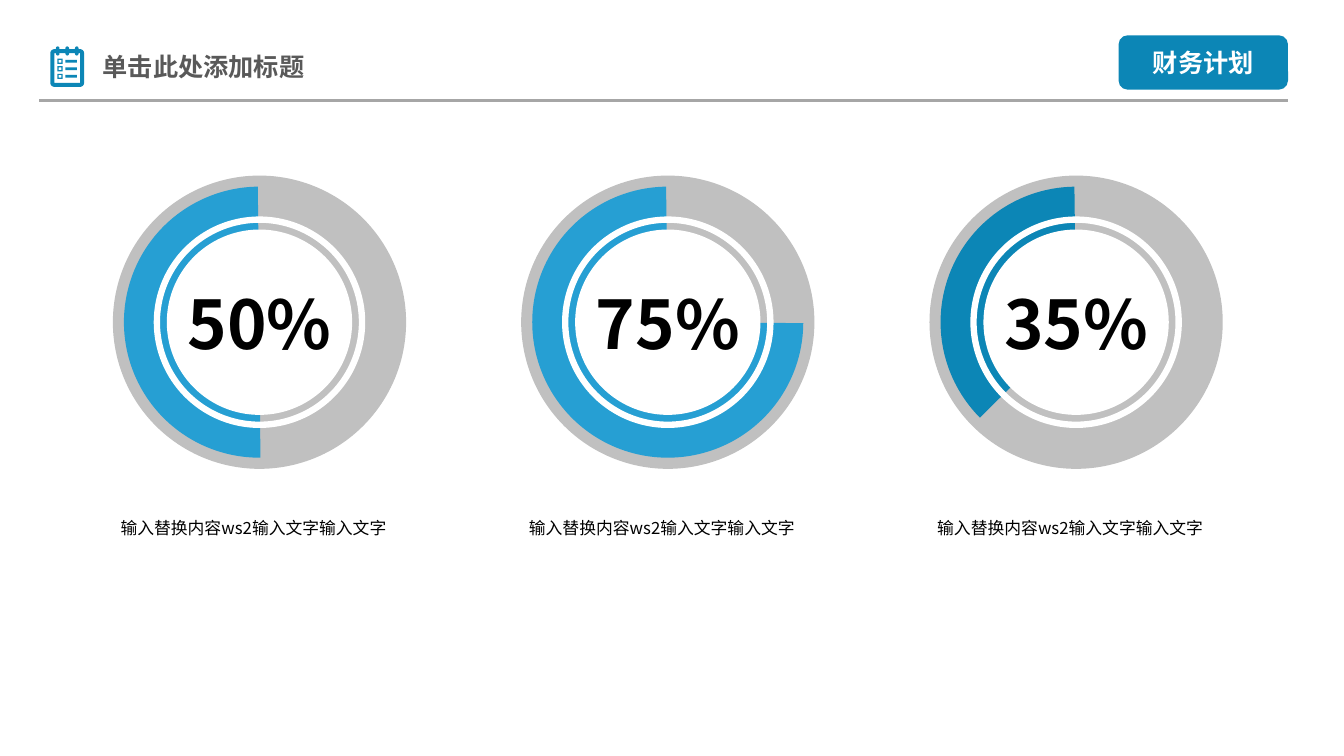
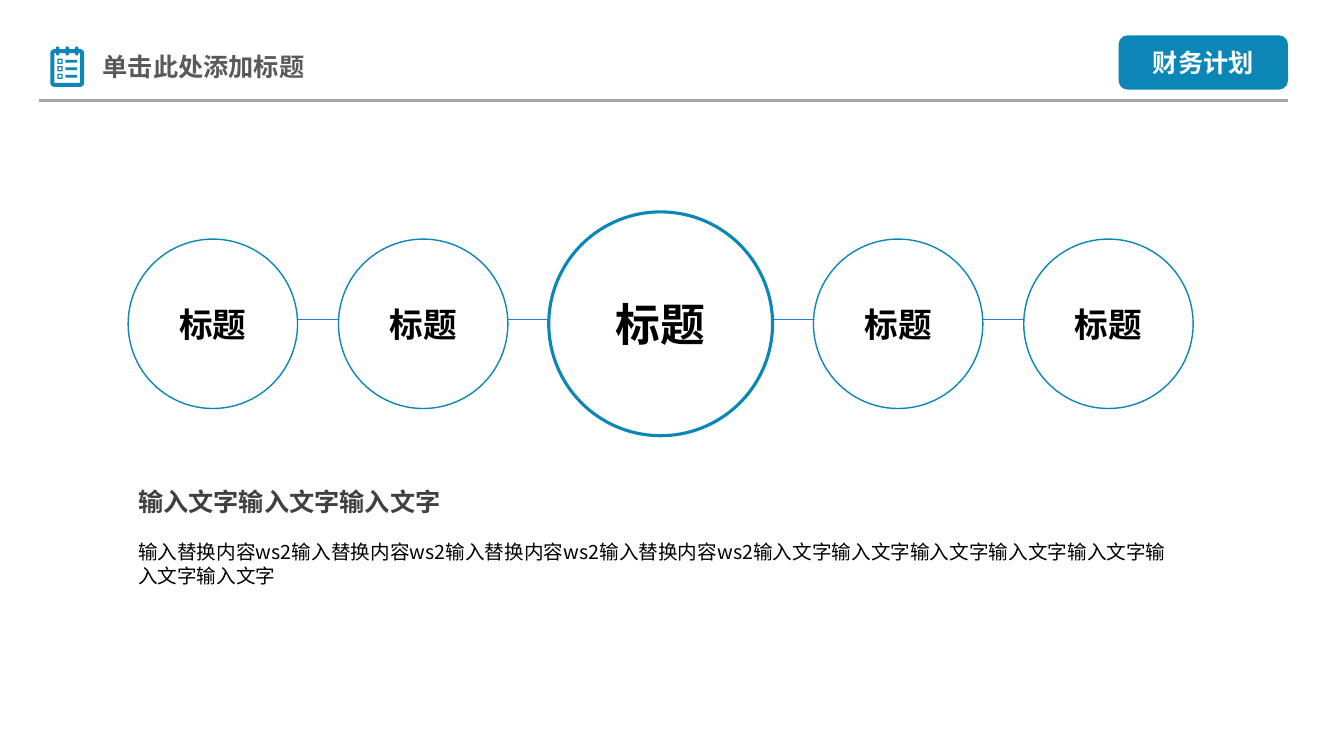
"""Build two finance plan slides: percentage gauges and a chain of titled circles."""
from dataclasses import dataclass
from math import cos, pi, sin

from lxml import etree
from pptx import Presentation
from pptx.dml.color import RGBColor
from pptx.enum.shapes import MSO_CONNECTOR, MSO_SHAPE as SHAPE
from pptx.enum.text import MSO_ANCHOR, MSO_AUTO_SIZE, PP_ALIGN as ALIGN
from pptx.oxml.ns import qn
from pptx.shapes.autoshape import Shape
from pptx.slide import Slide
from pptx.util import Cm, Pt

FONT = "Noto Sans CJK SC"
BLUE, SKY, GREY, WHITE, BLACK = "0C86B6", "269FD3", "C0C0C0", "FFFFFF", "000000"
RULE, TITLE, HEADING, CHAIN_LINE, OUTLINE = "A6A6A6", "595959", "404040", "2B7BDA", "DDDDDD"
LEFT, RIGHT = 0.99, 32.46


@dataclass(frozen=True)
class Style:
    size: float
    color: str = BLACK
    bold: bool = True
    align: ALIGN = ALIGN.LEFT
    spacing: float = 1.0
    outline: str = ""


@dataclass(frozen=True)
class Gauge:
    label: str
    start: float
    color: str


@dataclass(frozen=True)
class Node:
    diameter: float
    size: float
    border: float


GAUGES = [Gauge("50%", 89.6, SKY), Gauge("75%", 0.4, SKY), Gauge("35%", 135.2, BLUE)]
SMALL, LARGE = Node(4.27, 24, 1), Node(5.64, 32, 2.25)
NODES = [SMALL, SMALL, LARGE, SMALL, SMALL]


def rgb(color: str) -> RGBColor:
    return RGBColor.from_string(color)


def paint(sp: Shape, fill: str, line: str = "", width: float = 1) -> Shape:
    sp.shadow.inherit = False
    sp.fill.solid()
    sp.fill.fore_color.rgb = rgb(fill)
    if line:
        sp.line.color.rgb = rgb(line)
        sp.line.width = Pt(width)
    else:
        sp.line.fill.background()
    return sp


def add_shape(s: Slide, kind: SHAPE, x: float, y: float, w: float, h: float,
              fill: str, line: str = "", width: float = 1) -> Shape:
    return paint(s.shapes.add_shape(kind, Cm(x), Cm(y), Cm(w), Cm(h)), fill, line, width)


def add_round(s: Slide, kind: SHAPE, cx: float, cy: float, d: float,
              fill: str, line: str = "", width: float = 1) -> Shape:
    return add_shape(s, kind, cx - d / 2, cy - d / 2, d, d, fill, line, width)


def add_line(s: Slide, x1: float, x2: float, y: float, color: str, width: float) -> None:
    line = s.shapes.add_connector(MSO_CONNECTOR.STRAIGHT, Cm(x1), Cm(y), Cm(x2), Cm(y))
    line.line.color.rgb = rgb(color)
    line.line.width = Pt(width)
    etree.SubElement(line._element.spPr, qn("a:effectLst"))


def write(sp: Shape, text: str, style: Style) -> None:
    tf = sp.text_frame
    tf.text = text
    p = tf.paragraphs[0]
    p.alignment = style.align
    p.line_spacing = style.spacing
    r = p.runs[0]
    r.font.size = Pt(style.size)
    r.font.bold = style.bold
    r.font.color.rgb = rgb(style.color)
    r.font.name = FONT
    props = r._r.get_or_add_rPr()
    etree.SubElement(props, qn("a:ea"), typeface=FONT)
    if style.outline:
        ln = etree.Element(qn("a:ln"), w=str(Pt(1)))
        fill = etree.SubElement(ln, qn("a:solidFill"))
        etree.SubElement(fill, qn("a:srgbClr"), val=style.outline)
        props.insert(0, ln)


def label(sp: Shape, text: str, style: Style) -> None:
    tf = sp.text_frame
    tf.word_wrap = False
    tf.vertical_anchor = MSO_ANCHOR.MIDDLE
    tf.margin_left = tf.margin_right = tf.margin_top = tf.margin_bottom = 0
    write(sp, text, style)


def add_text(s: Slide, x: float, y: float, w: float, h: float, text: str,
             style: Style, side_margin: float = 0.25) -> None:
    sp = s.shapes.add_textbox(Cm(x), Cm(y), Cm(w), Cm(h))
    tf = sp.text_frame
    tf.word_wrap = True
    tf.auto_size = MSO_AUTO_SIZE.SHAPE_TO_FIT_TEXT
    tf.margin_left = tf.margin_right = Cm(side_margin)
    write(sp, text, style)


def rounded(x: float, y: float, w: float, h: float, r: float) -> list[tuple[int, int]]:
    corners = [(x + w - r, y + h - r), (x + r, y + h - r), (x + r, y + r), (x + w - r, y + r)]
    steps = range(7) if r else range(1)
    return [(Cm(cx + r * cos(a)), Cm(cy + r * sin(a)))
            for i, (cx, cy) in enumerate(corners)
            for a in [(i + k / 6) * pi / 2 for k in steps]]


def add_frame(s: Slide, x: float, y: float, w: float, h: float, edge: float, r: float = 0) -> None:
    outer = rounded(x, y, w, h, r)
    inner = rounded(x + edge, y + edge, w - 2 * edge, h - 2 * edge, 0)[::-1]
    builder = s.shapes.build_freeform(*outer[0], scale=1.0)
    builder.add_line_segments(outer[1:], close=True)
    builder.move_to(*inner[0])
    builder.add_line_segments(inner[1:], close=True)
    paint(builder.convert_to_shape(), BLUE)


def add_checklist_icon(s: Slide) -> None:
    add_frame(s, 1.27, 1.24, 0.85, 0.95, 0.1, 0.1)
    for i in range(3):
        clip = add_shape(s, SHAPE.ROUNDED_RECTANGLE, 1.41 + 0.24 * i, 1.17, 0.09, 0.23, BLUE)
        clip.adjustments[0] = 0.5
        y = 1.48 + 0.19 * i
        add_frame(s, 1.45, y, 0.13, 0.13, 0.03)
        add_shape(s, SHAPE.RECTANGLE, 1.65, y + 0.03, 0.29, 0.07, BLUE)


def add_header(s: Slide) -> None:
    add_line(s, LEFT, RIGHT, 2.54, RULE, 2.25)
    badge = add_shape(s, SHAPE.ROUNDED_RECTANGLE, RIGHT - 4.27, 0.89, 4.27, 1.37, BLUE)
    label(badge, "财务计划", Style(18, WHITE, align=ALIGN.CENTER))
    add_text(s, 2.34, 1.17, 6, 1.02, "单击此处添加标题", Style(18, TITLE))
    add_checklist_icon(s)


def add_gauge(s: Slide, gauge: Gauge, cx: float, cy: float) -> None:
    add_round(s, SHAPE.OVAL, cx, cy, 7.39, GREY)
    arc = add_round(s, SHAPE.BLOCK_ARC, cx, cy, 6.83, gauge.color)
    for i, value in enumerate((gauge.start * 0.6, 269.3 * 0.6, 0.2)):
        arc.adjustments[i] = value
    ring = add_round(s, SHAPE.DONUT, cx, cy, 5.33, WHITE)
    ring.adjustments[0] = 0.03
    disc = add_round(s, SHAPE.OVAL, cx, cy, 4.67, WHITE)
    label(disc, gauge.label, Style(48, align=ALIGN.CENTER, outline=OUTLINE))
    add_text(s, cx - 3.5, 12.67, 7, 1.02, "输入替换内容ws2输入文字输入文字",
             Style(12, bold=False, align=ALIGN.JUSTIFY, spacing=1.5), 0)


def build_gauges(s: Slide) -> None:
    add_header(s)
    for i, gauge in enumerate(GAUGES):
        add_gauge(s, gauge, 6.54 + 10.29 * i, 8.12)


def build_chain(s: Slide) -> None:
    add_header(s)
    left, width, gap, cy = 3.23, 26.84, 1.03, 8.16
    inset = SMALL.diameter / 2
    add_line(s, left + inset, left + width - inset, 8.05, CHAIN_LINE, 0.5)
    x = left
    for node in NODES:
        circle = add_round(s, SHAPE.OVAL, x + node.diameter / 2, cy, node.diameter,
                           WHITE, BLUE, node.border)
        label(circle, "标题", Style(node.size, align=ALIGN.CENTER))
        x += node.diameter + gap
    add_text(s, left, 12.12, 8.2, 1.02, "输入文字" * 3, Style(18, HEADING))
    add_text(s, left, 13.49, width, 1.45, "输入替换内容ws2" * 4 + "输入文字" * 7,
             Style(14, bold=False))


def main() -> None:
    prs = Presentation()
    prs.slide_width, prs.slide_height = Cm(33.87), Cm(19.05)
    for build in (build_gauges, build_chain):
        build(prs.slides.add_slide(prs.slide_layouts[6]))
    prs.save("out.pptx")


if __name__ == "__main__":
    main()
